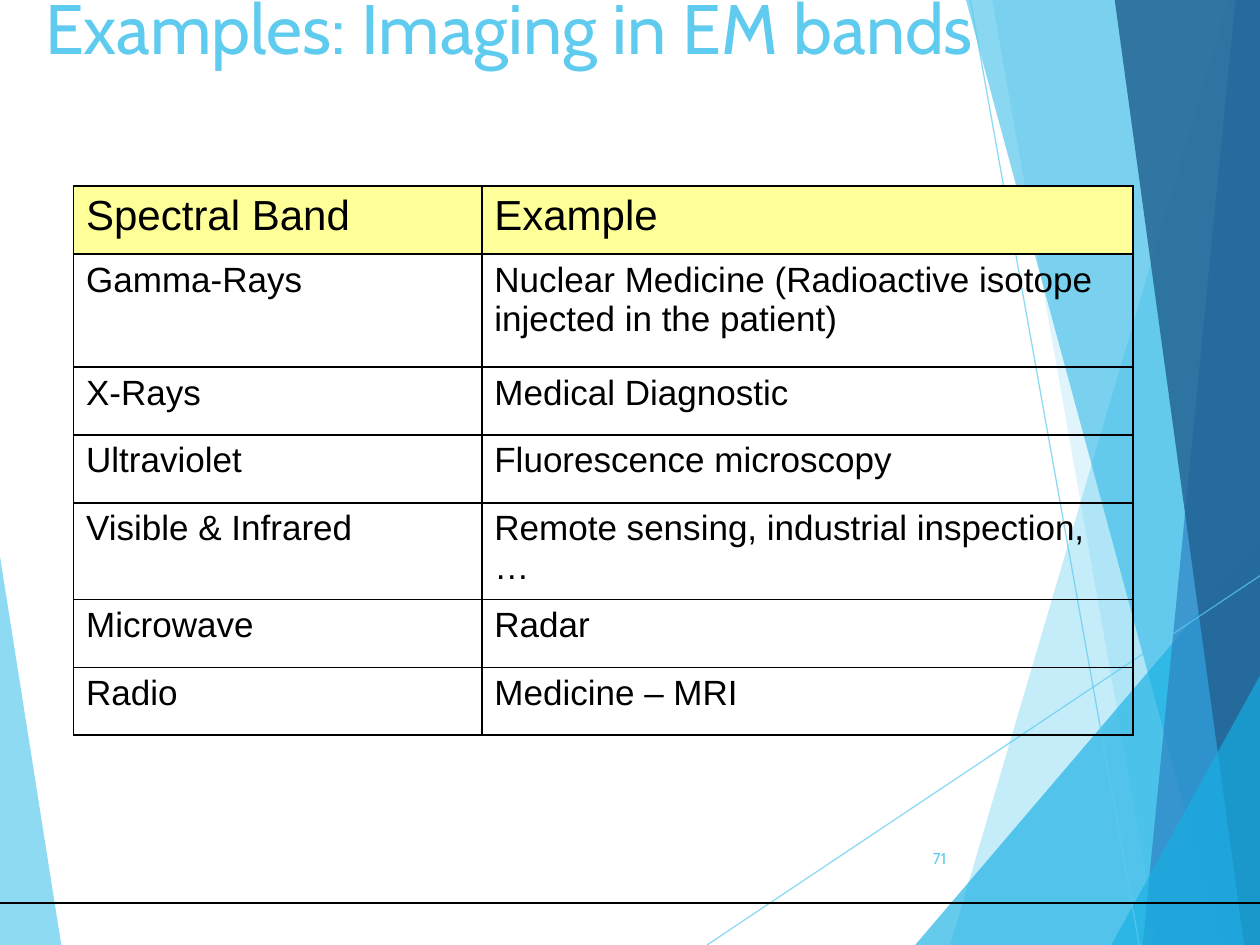
"""Build the slide on imaging examples in the bands of the EM spectrum."""
from lxml import etree
from pptx import Presentation
from pptx.dml.color import RGBColor
from pptx.enum.shapes import MSO_CONNECTOR
from pptx.enum.text import MSO_ANCHOR, PP_ALIGN
from pptx.oxml.ns import qn
from pptx.util import Pt

LINE = MSO_CONNECTOR.STRAIGHT
TOP, MIDDLE = MSO_ANCHOR.TOP, MSO_ANCHOR.MIDDLE
LEFT, RIGHT = PP_ALIGN.LEFT, PP_ALIGN.RIGHT
HUES = {"sky": "5FCBEF", "cyan": "17B0E4", "blue": "2E83C3",
        "navy": "226292", "black": "000000", "cream": "FFFF99"}
RGB = {name: RGBColor.from_string(code) for name, code in HUES.items()}


def fade(fill, alpha):
    """Give a solid fill an opacity in percent."""
    hue = fill.find(".//" + qn("a:srgbClr"))
    etree.SubElement(hue, qn("a:alpha"), val=str(alpha * 1000))


def style(para, size, face, hue, align=LEFT):
    """Set the font and alignment of a paragraph."""
    para.alignment = align
    para.font.size = Pt(size)
    para.font.name = face
    para.font.bold = False
    para.font.color.rgb = RGB[hue]


deck = Presentation()
deck.slide_width, deck.slide_height = Pt(720), Pt(540)
slide = deck.slides.add_slide(deck.slide_layouts[6])
shapes = slide.shapes

lines = [
    ("sky", 70, 404, 540, 720, 329),
    ("sky", 70, 554.5, 0, 651, 540),
    ("black", 100, 0, 516, 720, 516),
]
facets = [
    ("sky", 70, [(0, 318), (35.3, 540), (0, 540)]),
    ("sky", 36, [(702, 0), (543, 540), (720, 540), (720, 0)]),
    ("sky", 20, [(567.4, 0), (661.7, 540), (720, 540), (720, 0)]),
    ("cyan", 66, [(522.7, 540), (720, 309), (720, 540)]),
    ("cyan", 50, [(552.2, 0), (698.4, 540), (720, 540), (720, 0)]),
    ("blue", 70, [(706.3, 0), (653, 540), (720, 540), (720, 0)]),
    ("navy", 82, [(637.2, 0), (711.4, 540), (720, 540), (720, 0)]),
    ("cyan", 66, [(635, 540), (720, 386.5), (720, 540)]),
]

for hue, alpha, points in facets:
    pen = shapes.build_freeform(*points[0], scale=Pt(1))
    pen.add_line_segments(points[1:], close=True)
    facet = pen.convert_to_shape()
    facet.shadow.inherit = False
    facet.fill.solid()
    facet.fill.fore_color.rgb = RGB[hue]
    fade(facet.element.spPr, alpha)
    facet.line.fill.background()

for hue, alpha, *ends in lines:
    rule = shapes.add_connector(LINE, *map(Pt, ends))
    rule.line.width = Pt(0.75)
    rule.line.color.rgb = RGB[hue]
    if alpha < 100:
        fade(rule.line._ln, alpha)
    etree.SubElement(rule.element.spPr, qn("a:effectLst"))

texts = [
    ("Examples: Imaging in EM bands", (18.7, -12.2, 581, 90), 40, TOP, LEFT),
    ("71", (507.6, 476, 40.3, 28.8), 9, MIDDLE, RIGHT),
]
for words, place, size, anchor, align in texts:
    frame = shapes.add_textbox(*map(Pt, place)).text_frame
    frame.word_wrap = True
    frame.vertical_anchor = anchor
    frame.text = words
    style(frame.paragraphs[0], size, "Cabin", "sky", align)

rows = [
    ("Spectral Band", "Example"),
    ("Gamma-Rays",
     "Nuclear Medicine (Radioactive isotope injected in the patient)"),
    ("X-Rays", "Medical Diagnostic"),
    ("Ultraviolet", "Fluorescence microscopy"),
    ("Visible & Infrared", "Remote sensing, industrial inspection, …"),
    ("Microwave", "Radar"),
    ("Radio", "Medicine – MRI"),
]
heights = [38.8, 64.6] + [38.8] * 5
widths = [233.3, 372.2]
grid = shapes.add_table(len(rows), len(widths), Pt(42), Pt(106.4),
                        Pt(sum(widths)), Pt(sum(heights))).table
grid.first_row = grid.horz_banding = False
for col, width in zip(grid.columns, widths):
    col.width = Pt(width)
for row, height, words in zip(grid.rows, heights, rows):
    row.height = Pt(height)
    head = words == rows[0]
    for cell, text in zip(row.cells, words):
        cell.text = text
        style(cell.text_frame.paragraphs[0], 24 if head else 20,
              "Arial", "black")
        props = cell._tc.get_or_add_tcPr()
        for side in ("a:lnL", "a:lnR", "a:lnT", "a:lnB"):
            edge = etree.SubElement(props, qn(side), w=str(Pt(1)))
            fill = etree.SubElement(edge, qn("a:solidFill"))
            etree.SubElement(fill, qn("a:srgbClr"), val=HUES["black"])
        if head:
            cell.fill.solid()
            cell.fill.fore_color.rgb = RGB["cream"]
        else:
            cell.fill.background()

deck.save("out.pptx")
